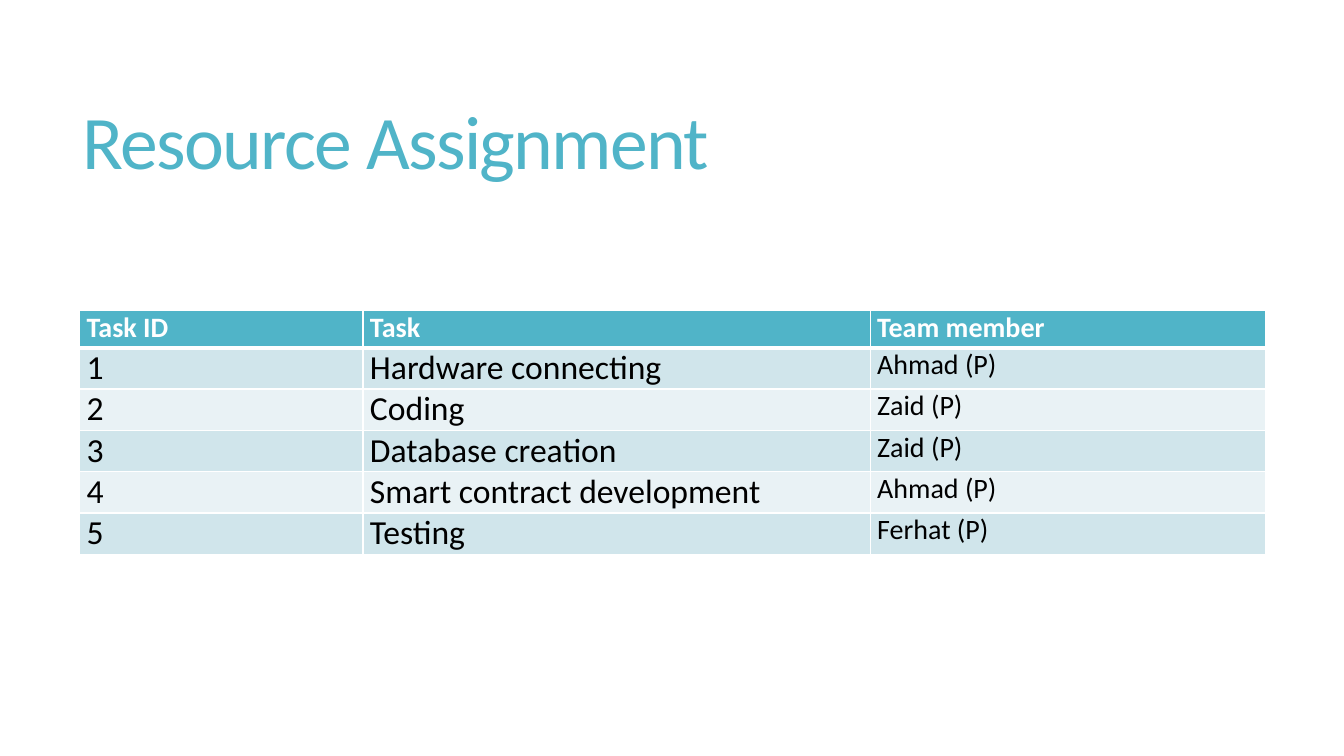
from collections import namedtuple

from lxml.etree import SubElement
from pptx import Presentation
from pptx.dml.color import RGBColor
from pptx.enum.text import MSO_ANCHOR, MSO_AUTO_SIZE, PP_ALIGN
from pptx.oxml.ns import qn
from pptx.util import Inches, Pt

Box = namedtuple("Box", "left top width height")

FONT = "Calibri"
COLORS = {
    "accent": "50B4C8",
    "odd_row": "D0E5EB",
    "even_row": "E9F2F5",
    "white": "FFFFFF",
    "black": "000000",
}
HEADERS = ("Task ID", "Task", "Team member")
ASSIGNMENTS = (
    ("1", "Hardware connecting", "Ahmad (P)"),
    ("2", "Coding", "Zaid (P)"),
    ("3", "Database creation", "Zaid (P)"),
    ("4", "Smart contract development", "Ahmad (P)"),
    ("5", "Testing", "Ferhat (P)"),
)
COLUMN_WIDTHS = (2.81, 5.03, 3.92)
HEADER_HEIGHT, ROW_HEIGHT = 0.37, 0.41
BODY_SIZES = (24, 24, 20)


def rgb(name):
    """Return the named palette colour."""
    return RGBColor.from_string(COLORS[name])


def style_font(font, size, color, bold=False):
    """Give a font its face, size, colour and weight."""
    font.name, font.size, font.bold = FONT, Pt(size), bold
    font.color.rgb = rgb(color)


def add_title(page, box, text):
    """Fill the title placeholder and fit it to the box."""
    title = page.shapes.title
    title.left, title.top, title.width, title.height = box
    frame = title.text_frame
    frame.auto_size = MSO_AUTO_SIZE.NONE
    frame.word_wrap = True
    frame.vertical_anchor = MSO_ANCHOR.MIDDLE
    para = frame.paragraphs[0]
    para.alignment = PP_ALIGN.LEFT
    para.line_spacing = 0.85
    span = para.add_run()
    span.text = text
    style_font(span.font, 54, "accent")
    span.font._element.set("spc", "-120")


def set_borders(cell, top, bottom):
    """Draw white cell borders, with the top and bottom widths in points."""
    properties = cell._tc.get_or_add_tcPr()
    for side, width in (("L", 1), ("R", 1), ("T", top), ("B", bottom)):
        line = SubElement(properties, qn(f"a:ln{side}"), w=str(Pt(width)))
        fill = SubElement(line, qn("a:solidFill"))
        SubElement(fill, qn("a:srgbClr"), val=COLORS["white"])


def fill_cell(cell, text, row, column):
    """Write one cell and style it by its place in the table."""
    is_header = row == 0
    set_borders(cell, top=3 if row == 1 else 1, bottom=3 if is_header else 1)
    cell.fill.solid()
    cell.fill.fore_color.rgb = rgb(
        "accent" if is_header else "odd_row" if row % 2 else "even_row")
    cell.margin_left = cell.margin_right = Inches(0.07)
    cell.margin_top = cell.margin_bottom = 0
    cell.text = text
    font = cell.text_frame.paragraphs[0].font
    if is_header:
        style_font(font, 20, "white", bold=True)
    else:
        style_font(font, BODY_SIZES[column], "black")


def add_assignment_table(page, box):
    """Add the task table, sharing the box among its columns and rows."""
    rows = (HEADERS,) + ASSIGNMENTS
    table = page.shapes.add_table(len(rows), len(HEADERS), *box).table
    for column, width in zip(table.columns, COLUMN_WIDTHS):
        column.width = int(box.width * width / sum(COLUMN_WIDTHS))
    heights = (HEADER_HEIGHT,) + (ROW_HEIGHT,) * len(ASSIGNMENTS)
    for row, height in zip(table.rows, heights):
        row.height = int(box.height * height / sum(heights))
    for row, texts in enumerate(rows):
        for column, text in enumerate(texts):
            fill_cell(table.cell(row, column), text, row, column)


def build_assignment_slide(deck, box):
    """Add the slide with its title above the assignment table."""
    page = deck.slides.add_slide(deck.slide_layouts.get_by_name("Title Only"))
    page.background.fill.solid()
    page.background.fill.fore_color.rgb = rgb("white")

    def place(left, top, width, height):
        """Turn inches within the slide box into a box."""
        return Box(box.left + Inches(left), box.top + Inches(top),
                   Inches(width), Inches(height))

    add_title(page, place(0.72, 0.55, 11.78, 1.81), "Resource Assignment")
    table_height = HEADER_HEIGHT + ROW_HEIGHT * len(ASSIGNMENTS)
    add_assignment_table(
        page, place(0.79, 3.08, sum(COLUMN_WIDTHS), table_height))


deck = Presentation()
deck.slide_width, deck.slide_height = Inches(13.33), Inches(7.5)
build_assignment_slide(deck, Box(0, 0, deck.slide_width, deck.slide_height))
deck.save("out.pptx")
